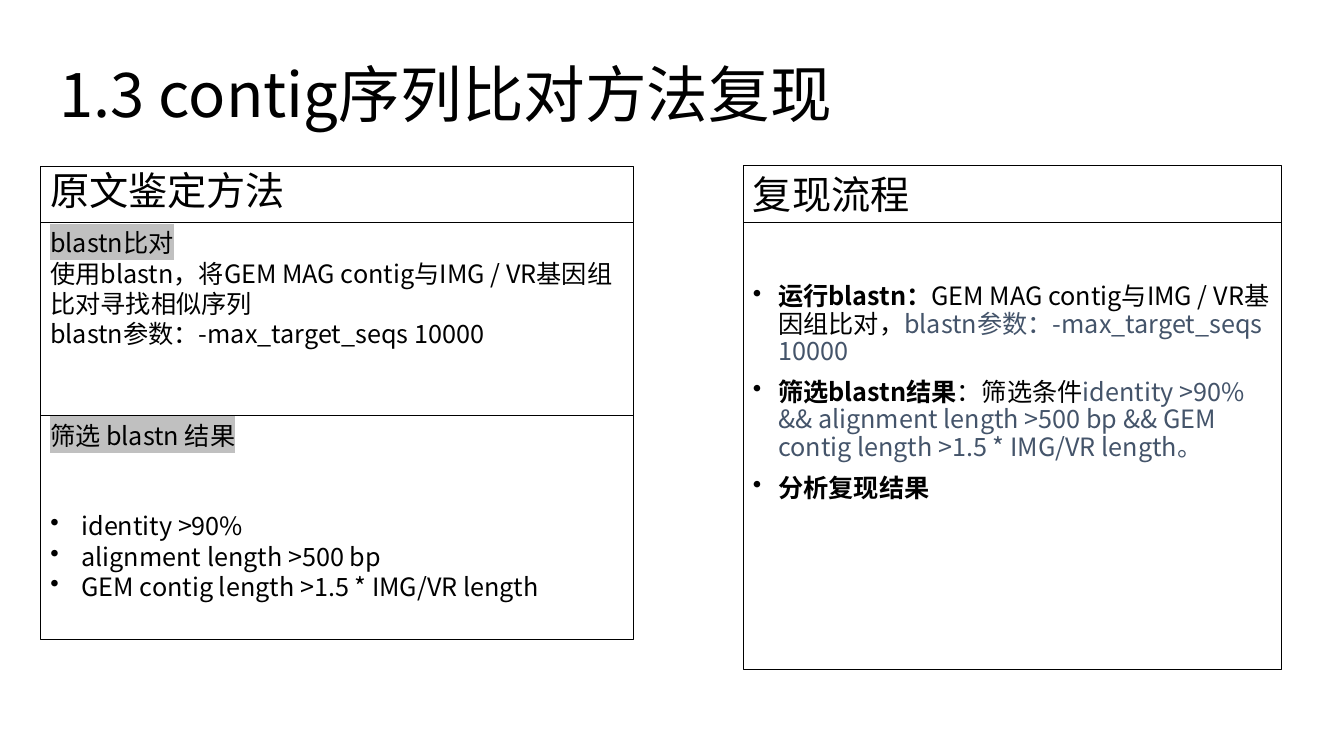
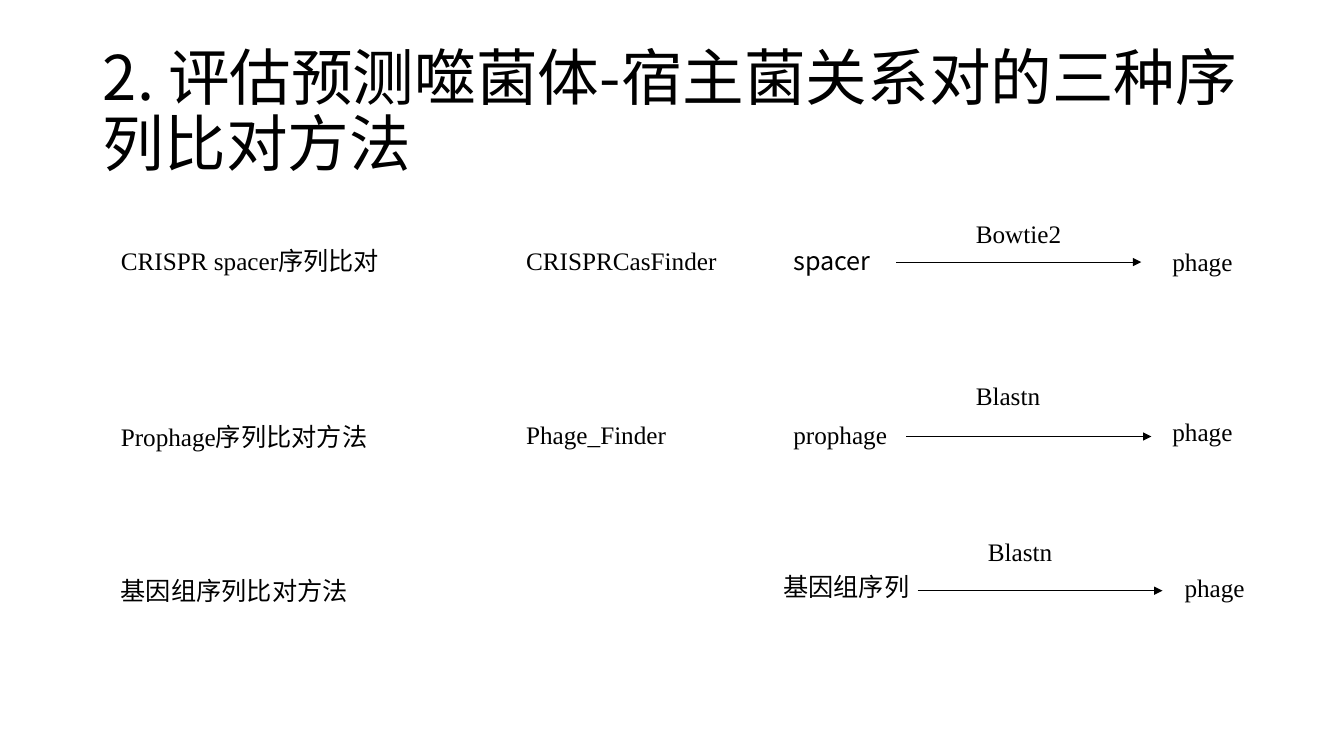
import lxml.etree
import pptx
import pptx.dml.color
import pptx.enum.shapes
import pptx.enum.text
import pptx.oxml.ns
import pptx.util

PX = 9144
BLACK = pptx.dml.color.RGBColor(0x00, 0x00, 0x00)
SLATE = pptx.dml.color.RGBColor(0x44, 0x54, 0x6A)
SILVER = pptx.dml.color.RGBColor(0xC0, 0xC0, 0xC0)
SANS = "Noto Sans CJK SC"
SERIF = "Times New Roman"


def px(*lengths):
    """Turn px into EMU."""
    return [length * PX for length in lengths]


def add_xml(parent, tag, **attributes):
    """Append a DrawingML element and return it."""
    return lxml.etree.SubElement(parent, pptx.oxml.ns.qn(tag), attributes)


def style_paragraph(paragraph, size=18, font=SANS, line_spacing=None, space_before=0):
    """Set the font and spacing that all runs of a paragraph share."""
    paragraph.font.size = pptx.util.Pt(size)
    paragraph.font.color.rgb = BLACK
    paragraph.font.name = font
    defaults = paragraph._p.pPr.find(pptx.oxml.ns.qn("a:defRPr"))
    add_xml(defaults, "a:ea", typeface=SANS)
    paragraph.space_before = pptx.util.Pt(space_before)
    if line_spacing:
        paragraph.line_spacing = line_spacing


def add_bullet(paragraph, indent):
    """Give a styled paragraph a hanging bullet."""
    properties = paragraph._p.pPr
    properties.set("marL", str(indent * PX))
    properties.set("indent", str(-indent * PX))
    bullet = add_xml(properties, "a:buChar", char="•")
    properties.find(pptx.oxml.ns.qn("a:defRPr")).addprevious(bullet)


def highlight(run):
    """Put a grey marker behind a run."""
    marker = add_xml(run._r.get_or_add_rPr(), "a:highlight")
    add_xml(marker, "a:srgbClr", val=str(SILVER))


def add_paragraph(frame, text="", **style):
    """Add a styled paragraph, using the empty first one if it is free."""
    first = frame.paragraphs[0]
    paragraph = frame.add_paragraph() if first.runs else first
    if text:
        paragraph.add_run().text = text
    style_paragraph(paragraph, **style)
    return paragraph


def add_text_box(slide, box, outlined=False):
    """Add a wrapping text box and return its text frame."""
    holder = slide.shapes.add_textbox(*px(*box))
    if outlined:
        holder.line.color.rgb = BLACK
        holder.line.width = pptx.util.Pt(0.75)
    holder.text_frame.word_wrap = True
    return holder.text_frame


def add_titled_slide(deck, title, left, top):
    """Add a title-only slide with its title at the given corner."""
    slide = deck.slides.add_slide(deck.slide_layouts[5])
    heading = slide.shapes.title
    heading.left, heading.top, heading.width, heading.height = px(left, top, 1150, 145)
    frame = heading.text_frame
    frame.vertical_anchor = pptx.enum.text.MSO_ANCHOR.MIDDLE
    frame.auto_size = pptx.enum.text.MSO_AUTO_SIZE.NONE
    paragraph = add_paragraph(frame, title, size=44, line_spacing=0.9)
    paragraph.alignment = pptx.enum.text.PP_ALIGN.LEFT
    return slide


def add_source_method(slide, left, top, width):
    """Stack the heading and the two steps of the published method."""
    heading = add_text_box(slide, (left, top, width, 56), outlined=True)
    add_paragraph(heading, "原文鉴定方法", size=28, line_spacing=0.9)

    alignment = add_text_box(slide, (left, top + 56, width, 191), outlined=True)
    highlight(add_paragraph(alignment, "blastn比对").runs[0])
    add_paragraph(alignment, "使用blastn，将GEM MAG contig与IMG / VR基因组比对寻找相似序列")
    add_paragraph(alignment, "blastn参数：-max_target_seqs 10000")

    screening = add_text_box(slide, (left, top + 247, width, 222), outlined=True)
    highlight(add_paragraph(screening, "筛选 blastn 结果").runs[0])
    criteria = ("identity >90%", "alignment length >500 bp",
                "GEM contig length >1.5 * IMG/VR length")
    for index, criterion in enumerate(criteria):
        gap = 0 if index else 43
        add_bullet(add_paragraph(screening, criterion, space_before=gap), 31)


def add_workflow(slide, left, top, width):
    """Stack the heading and the steps of the reproduced workflow."""
    heading = add_text_box(slide, (left, top, width, 57), outlined=True)
    add_paragraph(heading, "复现流程", size=28)

    steps = (
        ("运行blastn：", "GEM MAG contig与IMG / VR基因组比对，",
         "blastn参数：-max_target_seqs 10000"),
        ("筛选blastn结果", "：筛选条件",
         "identity >90% && alignment length >500 bp && "
         "GEM contig length >1.5 * IMG/VR length。"),
        ("分析复现结果",),
    )
    body = add_text_box(slide, (left, top + 57, width, 443), outlined=True)
    body.margin_top = 61 * PX
    for index, (name, *details) in enumerate(steps):
        step = add_paragraph(body, name, line_spacing=0.9, space_before=10 if index else 0)
        step.runs[0].font.bold = True
        for detail, color in zip(details, (BLACK, SLATE)):
            run = step.add_run()
            run.text = detail
            run.font.color.rgb = color
        add_bullet(step, 25)


def add_arrow(slide, left, top, length):
    """Draw a thin horizontal arrow to the right."""
    arrow = slide.shapes.add_connector(
        pptx.enum.shapes.MSO_CONNECTOR.STRAIGHT, *px(left, top, left + length, top))
    arrow.line.color.rgb = BLACK
    arrow.line.width = pptx.util.Pt(0.5)
    add_xml(arrow.line._get_or_add_ln(), "a:tailEnd", type="triangle")
    add_xml(arrow._element.spPr, "a:effectLst")


def add_method_row(slide, left, top, labels, arrow):
    """Place one method's labels and arrow relative to the row's corner."""
    for text, x, y, width, font in labels:
        frame = add_text_box(slide, (left + x, top + y, width, 40))
        add_paragraph(frame, text, font=font)
    arrow_x, arrow_y = arrow
    add_arrow(slide, left + arrow_x, top + arrow_y, 243)


def build_reproduction_slide(deck):
    """Compare the published method with the reproduced workflow."""
    slide = add_titled_slide(deck, "1.3 contig序列比对方法复现", 49, 24)
    add_source_method(slide, 40, 165, 588)
    add_workflow(slide, 737, 164, 534)


def build_methods_slide(deck):
    """List the three sequence alignment methods."""
    slide = add_titled_slide(deck, "2. 评估预测噬菌体-宿主菌关系对的三种序列比对方法", 92, 40)
    rows = (
        (238, (("CRISPR spacer序列比对", 0, 0, 390, SERIF),
               ("CRISPRCasFinder", 402, 0, 250, SERIF),
               ("spacer", 667, 0, 120, SANS),
               ("Bowtie2", 848, -26, 150, SERIF),
               ("phage", 1043, 1, 100, SERIF)), (779, 22)),
        (413, (("Prophage序列比对方法", 0, 0, 390, SERIF),
               ("Phage_Finder", 402, -2, 250, SERIF),
               ("prophage", 667, -2, 120, SERIF),
               ("Blastn", 848, -41, 150, SERIF),
               ("phage", 1043, -5, 100, SERIF)), (789, 20)),
        (566, (("基因组序列比对方法", 0, 0, 390, SERIF),
               ("基因组序列", 657, -4, 160, SERIF),
               ("Blastn", 860, -39, 150, SERIF),
               ("phage", 1055, -3, 100, SERIF)), (800, 20)),
    )
    for top, labels, arrow in rows:
        add_method_row(slide, 110, top, labels, arrow)


def main():
    """Build and save the deck."""
    deck = pptx.Presentation()
    deck.slide_width, deck.slide_height = px(1333, 750)
    build_reproduction_slide(deck)
    build_methods_slide(deck)
    deck.save("out.pptx")


if __name__ == "__main__":
    main()
